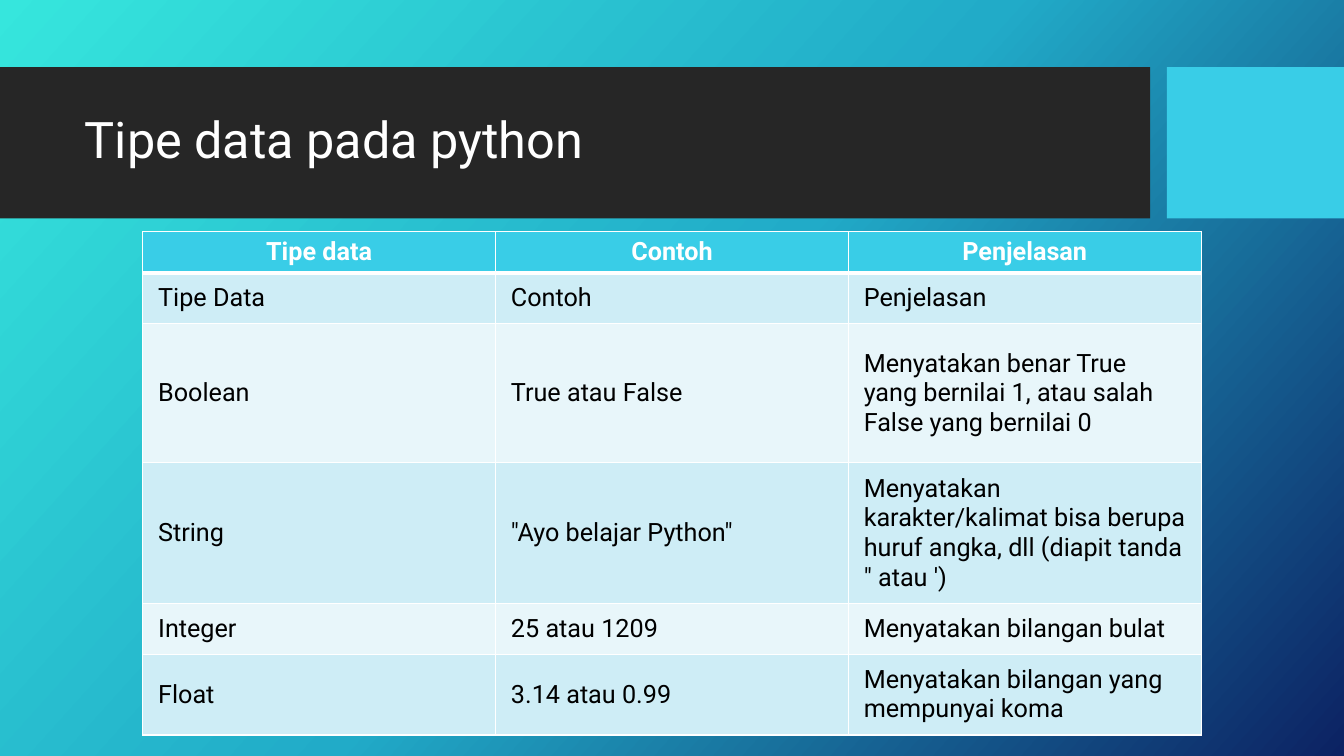
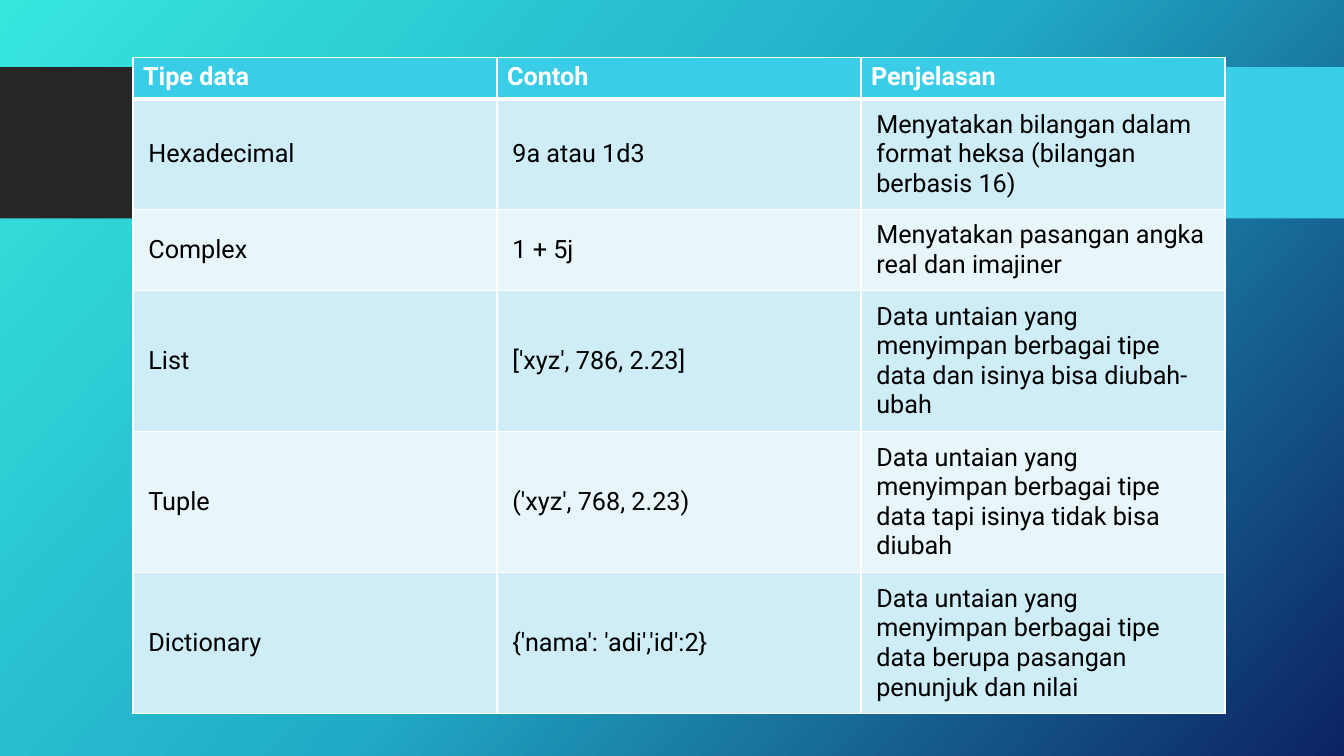
from copy import deepcopy

from lxml.etree import SubElement
from pptx import Presentation
from pptx.dml.color import RGBColor
from pptx.enum.shapes import MSO_SHAPE
from pptx.enum.text import MSO_ANCHOR, PP_ALIGN
from pptx.oxml.ns import qn
from pptx.util import Pt

COLORS = {
    "white": "FFFFFF",
    "black": "000000",
    "band": "262626",
    "accent": "39CDE7",
    "row_dark": "CEEDF6",
    "row_light": "E8F6FA",
}
GRADIENT = {0: "36E6DD", 0.5: "21ABC8", 1: "0C2263"}
FONT = "Roboto"
HEADINGS = ["Tipe data", "Contoh", "Penjelasan"]

BASIC_TYPES = [
    ("Tipe Data", "Contoh", "Penjelasan", 1),
    ("Boolean", "True atau False",
     "Menyatakan benar True yang bernilai 1, atau salah False yang bernilai 0", 4),
    ("String", '"Ayo belajar Python"',
     "Menyatakan karakter/kalimat bisa berupa huruf angka, dll (diapit tanda \" atau ')", 4),
    ("Integer", "25 atau 1209", "Menyatakan bilangan bulat", 1),
    ("Float", "3.14 atau 0.99", "Menyatakan bilangan yang mempunyai koma", 2),
]
OTHER_TYPES = [
    ("Hexadecimal", "9a atau 1d3",
     "Menyatakan bilangan dalam format heksa (bilangan berbasis 16)", 3),
    ("Complex", "1 + 5j", "Menyatakan pasangan angka real dan imajiner", 2),
    ("List", "['xyz', 786, 2.23]",
     "Data untaian yang menyimpan berbagai tipe data dan isinya bisa diubah-ubah", 4),
    ("Tuple", "('xyz', 768, 2.23)",
     "Data untaian yang menyimpan berbagai tipe data tapi isinya tidak bisa diubah", 4),
    ("Dictionary", "{'nama': 'adi','id':2}",
     "Data untaian yang menyimpan berbagai tipe data berupa pasangan penunjuk dan nilai", 4),
]


def color(name):
    """Return the named colour of the palette."""
    return RGBColor.from_string(COLORS[name])


def write(frame, text, size=18, fill="black", bold=False, align=PP_ALIGN.LEFT, spacing=None):
    """Put one formatted paragraph into a text frame."""
    paragraph = frame.paragraphs[0]
    paragraph.alignment = align
    if spacing:
        paragraph.line_spacing = spacing
    run = paragraph.add_run()
    run.text = text
    run.font.name = FONT
    run.font.size = Pt(size)
    run.font.bold = bold
    run.font.color.rgb = color(fill)


class Deck:
    """Hold the presentation, its style and the current slide."""

    def __init__(self):
        """Start a widescreen presentation."""
        self.presentation = Presentation()
        self.presentation.slide_width = Pt(960)
        self.presentation.slide_height = Pt(540)
        self.slide = None

    def add_slide(self):
        """Add a slide with the shared background and bands."""
        self.slide = self.presentation.slides.add_slide(self.presentation.slide_layouts[6])
        self.background()
        self.band(0, 821.5, "band")
        self.band(833.5, 126.5, "accent")

    def background(self):
        """Fill the slide with the diagonal gradient."""
        fill = self.slide.background.fill
        fill.gradient()
        fill.gradient_angle = 318
        stop_list = next(self.slide.element.iter(qn("a:gsLst")))
        stop_list.append(deepcopy(stop_list[0]))
        for stop, (position, code) in zip(fill.gradient_stops, GRADIENT.items()):
            stop.position = position
            stop.color.rgb = RGBColor.from_string(code)

    def band(self, left, width, fill):
        """Draw one block of the title band."""
        shape = self.slide.shapes.add_shape(
            MSO_SHAPE.RECTANGLE, Pt(left), Pt(48), Pt(width), Pt(108))
        shape.shadow.inherit = False
        shape.fill.solid()
        shape.fill.fore_color.rgb = color(fill)
        shape.line.fill.background()

    def title(self, text):
        """Write the title on the dark band."""
        shape = self.slide.shapes.add_textbox(Pt(53.5), Pt(59), Pt(757), Pt(85))
        frame = shape.text_frame
        frame.word_wrap = True
        frame.vertical_anchor = MSO_ANCHOR.MIDDLE
        write(frame, text, size=36, fill="white", spacing=0.9)

    def table(self, left, top, column_width, rows, heading_align):
        """Add a banded table; each row ends with its number of text lines."""
        heights = [29.5] + [15 + 21.1 * row[-1] for row in rows]
        columns = len(HEADINGS)
        table = self.slide.shapes.add_table(
            len(heights), columns, Pt(left), Pt(top),
            Pt(column_width * columns), Pt(sum(heights))).table
        for column in table.columns:
            column.width = Pt(column_width)
        for row, height in zip(table.rows, heights):
            row.height = Pt(height)
        for index, heading in enumerate(HEADINGS):
            cell = table.cell(0, index)
            self.style_cell(cell, "accent", bottom=3)
            write(cell.text_frame, heading, fill="white", bold=True, align=heading_align)
        for number, row in enumerate(rows, 1):
            for index, text in enumerate(row[:columns]):
                cell = table.cell(number, index)
                self.style_cell(cell, "row_dark" if number % 2 else "row_light",
                                top=3 if number == 1 else 1)
                cell.vertical_anchor = MSO_ANCHOR.MIDDLE
                cell.margin_left = cell.margin_right = Pt(11)
                cell.margin_top = cell.margin_bottom = Pt(7.2)
                write(cell.text_frame, text)

    def style_cell(self, cell, fill, top=1, bottom=1):
        """Give a cell its white borders and its fill."""
        properties = cell._tc.get_or_add_tcPr()
        for tag, width in (("lnL", 1), ("lnR", 1), ("lnT", top), ("lnB", bottom)):
            line = SubElement(properties, qn(f"a:{tag}"), w=str(Pt(width)))
            solid = SubElement(line, qn("a:solidFill"))
            SubElement(solid, qn("a:srgbClr"), val=COLORS["white"])
        cell.fill.solid()
        cell.fill.fore_color.rgb = color(fill)


def main():
    """Build both slides and save the file."""
    deck = Deck()
    deck.add_slide()
    deck.title("Tipe data pada python")
    deck.table(102, 165.5, 252, BASIC_TYPES, PP_ALIGN.CENTER)
    deck.add_slide()
    deck.table(95, 41, 260, OTHER_TYPES, PP_ALIGN.LEFT)
    deck.presentation.save("out.pptx")


if __name__ == "__main__":
    main()
